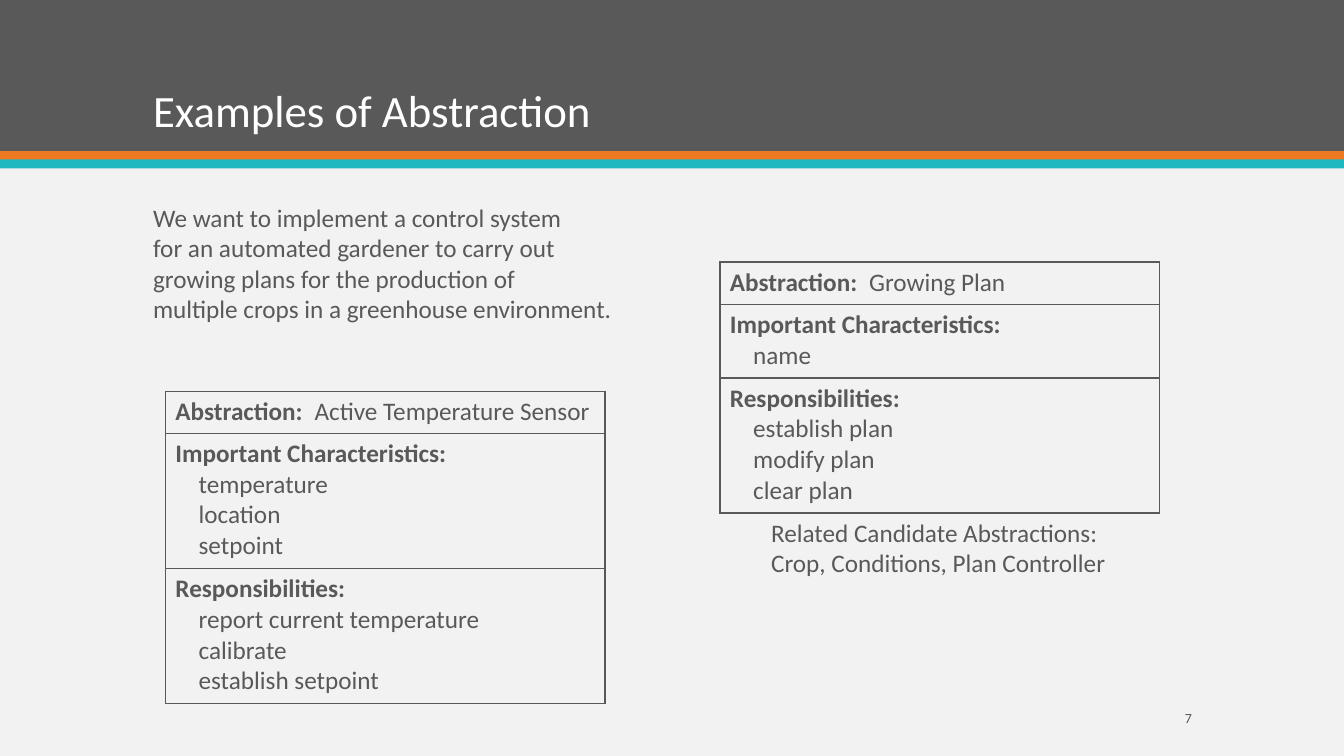
from lxml import etree
from pptx import Presentation
from pptx.dml.color import RGBColor
from pptx.enum.shapes import MSO_SHAPE
from pptx.enum.text import MSO_ANCHOR, MSO_AUTO_SIZE, PP_ALIGN
from pptx.oxml.ns import qn
from pptx.util import Inches, Pt

RECTANGLE = MSO_SHAPE.RECTANGLE
TOP, MIDDLE, BOTTOM = MSO_ANCHOR.TOP, MSO_ANCHOR.MIDDLE, MSO_ANCHOR.BOTTOM
LEFT, RIGHT = PP_ALIGN.LEFT, PP_ALIGN.RIGHT
FIT_SHAPE = MSO_AUTO_SIZE.SHAPE_TO_FIT_TEXT

GREY = RGBColor(0x59, 0x59, 0x59)
ORANGE = RGBColor(0xEF, 0x79, 0x20)
TEAL = RGBColor(0x1E, 0xB8, 0xC1)
PALE = RGBColor(0xF2, 0xF2, 0xF2)
WHITE = RGBColor(0xFF, 0xFF, 0xFF)

FONT = "Calibri"
SLIDE_WIDTH = 13.33
LINE_HEIGHT = 0.305
ITEM_INDENT = 0.23
NAME_TAB = 1.38


def style_run(run, size=18, color=GREY, bold=False):
    run.font.name = FONT
    run.font.size = Pt(size)
    run.font.color.rgb = color
    run.font.bold = bold


def add_text(slide, box, text, size=18, color=GREY, anchor=TOP, align=LEFT,
             wrap=True, spacing=None):
    frame = slide.shapes.add_textbox(*map(Inches, box)).text_frame
    frame.word_wrap = wrap
    if not wrap:
        frame.auto_size = FIT_SHAPE
    frame.vertical_anchor = anchor
    paragraph = frame.paragraphs[0]
    paragraph.text = text
    paragraph.alignment = align
    paragraph.line_spacing = spacing
    for run in paragraph.runs:
        style_run(run, size, color)


def add_header(slide, box, title):
    left, top, width, height = box
    stripe = 0.09
    # Dark band with two accent stripes under it
    bands = [(top, height, GREY), (top + height, stripe, ORANGE),
             (top + height + stripe - 0.01, stripe, TEAL)]
    for band_top, band_height, color in bands:
        band = slide.shapes.add_shape(
            RECTANGLE, *map(Inches, (left, band_top, width, band_height)))
        band.shadow.inherit = False
        band.fill.solid()
        band.fill.fore_color.rgb = color
        band.line.fill.background()
    # Title
    add_text(slide, (left + 1.42, top + 0.28, 10.5, 1.13), title, 32, WHITE,
             anchor=BOTTOM, spacing=0.9)


def add_borders(cell):
    properties = cell._tc.get_or_add_tcPr()
    for position, side in enumerate(("lnL", "lnR", "lnT", "lnB")):
        border = etree.Element(qn("a:" + side), w=str(Pt(1)))
        fill = etree.SubElement(border, qn("a:solidFill"))
        etree.SubElement(fill, qn("a:srgbClr"), val=str(GREY))
        properties.insert(position, border)


def add_name_tab(paragraph):
    tabs = etree.SubElement(paragraph._p.get_or_add_pPr(), qn("a:tabLst"))
    etree.SubElement(tabs, qn("a:tab"), pos=str(Inches(NAME_TAB)), algn="l")


def add_card(slide, box, name, characteristics, responsibilities):
    """Draw one abstraction card; its height follows from its items."""
    left, top, width = box
    sections = [("Abstraction:", []),
                ("Important Characteristics:", characteristics),
                ("Responsibilities:", responsibilities)]
    heights = [0.12 + LINE_HEIGHT * (1 + len(items)) for _, items in sections]
    heights[0] = 0.42
    card = slide.shapes.add_table(
        len(sections), 1, *map(Inches, (left, top, width, sum(heights)))).table
    card.first_row = card.horz_banding = False

    for row, (heading, items) in enumerate(sections):
        card.rows[row].height = Inches(heights[row])
        cell = card.cell(row, 0)
        cell.fill.background()
        add_borders(cell)
        cell.text_frame.text = "\n".join([heading, *items])
        heading_line, *item_lines = cell.text_frame.paragraphs
        style_run(heading_line.runs[0], bold=True)
        for item_line in item_lines:
            item_line._p.get_or_add_pPr().set("marL", str(Inches(ITEM_INDENT)))
            style_run(item_line.runs[0])

    # Name beside the first heading
    name_line = card.cell(0, 0).text_frame.paragraphs[0]
    add_name_tab(name_line)
    name_run = name_line.add_run()
    name_run.text = "\t" + name
    style_run(name_run)


def build_slide(presentation):
    slide = presentation.slides.add_slide(presentation.slide_layouts[6])
    slide.background.fill.solid()
    slide.background.fill.fore_color.rgb = PALE
    add_header(slide, (0, 0, SLIDE_WIDTH, 1.5), "Examples of Abstraction")

    # Left: the task and the sensor card
    add_text(slide, (1.42, 1.96, 4.81, 1.31),
             "We want to implement a control system\v"
             "for an automated gardener to carry out\v"
             "growing plans for the production of\v"
             "multiple crops in a greenhouse environment.", wrap=False)
    add_card(slide, (1.64, 3.88, 4.36), "Active Temperature Sensor",
             ["temperature", "location", "setpoint"],
             ["report current temperature", "calibrate", "establish setpoint"])

    # Right: the plan card and related abstractions
    add_card(slide, (7.14, 2.6, 4.36), "Growing Plan", ["name"],
             ["establish plan", "modify plan", "clear plan"])
    add_text(slide, (7.55, 5.08, 3.56, 0.71),
             "Related Candidate Abstractions:\v"
             "Crop, Conditions, Plan Controller", wrap=False)

    # Slide number
    add_text(slide, (10.42, 6.97, 1.5, 0.3), "7", 10, anchor=MIDDLE, align=RIGHT)


def main():
    presentation = Presentation()
    presentation.slide_width = Inches(SLIDE_WIDTH)
    presentation.slide_height = Inches(7.5)
    build_slide(presentation)
    presentation.save("out.pptx")


if __name__ == "__main__":
    main()
